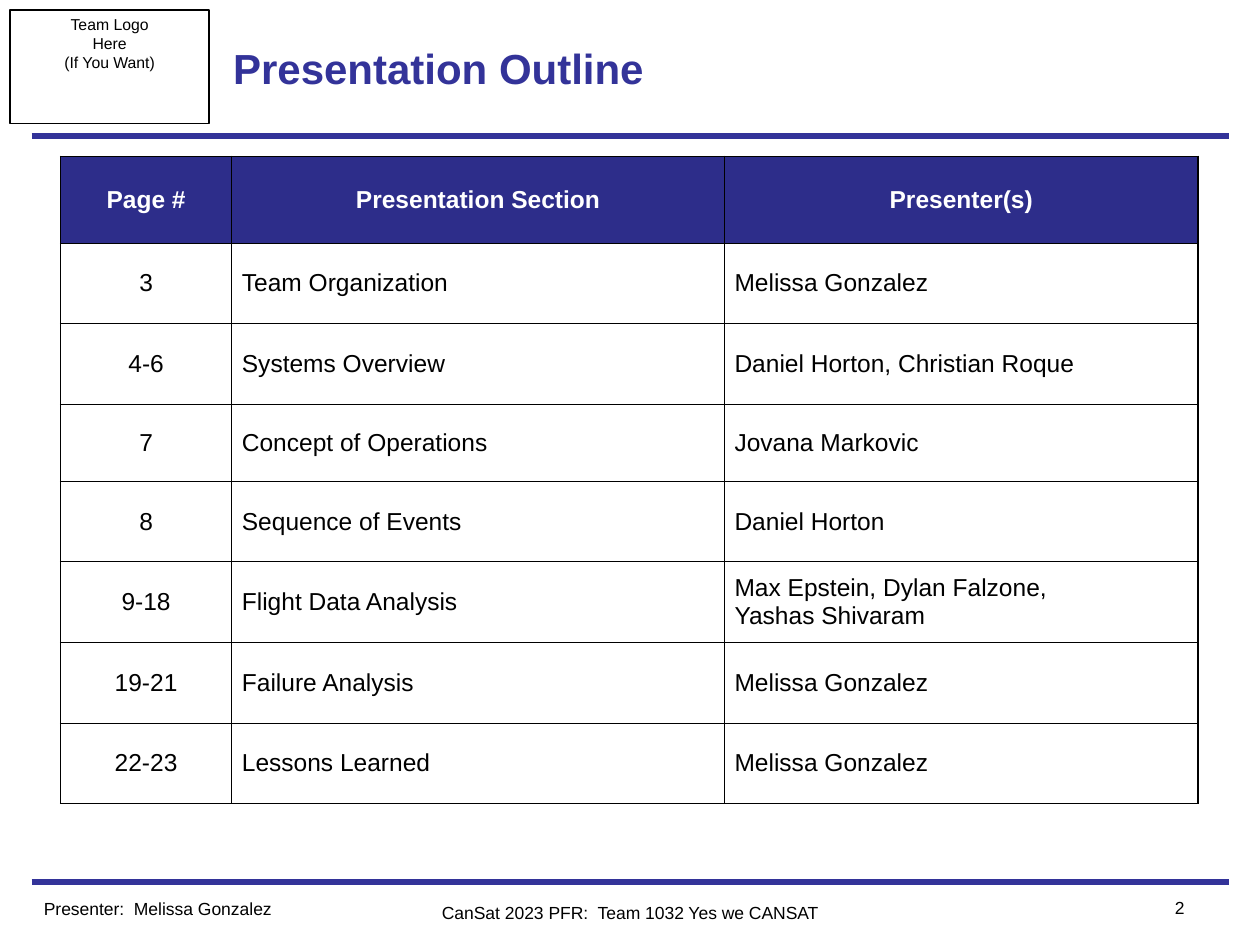
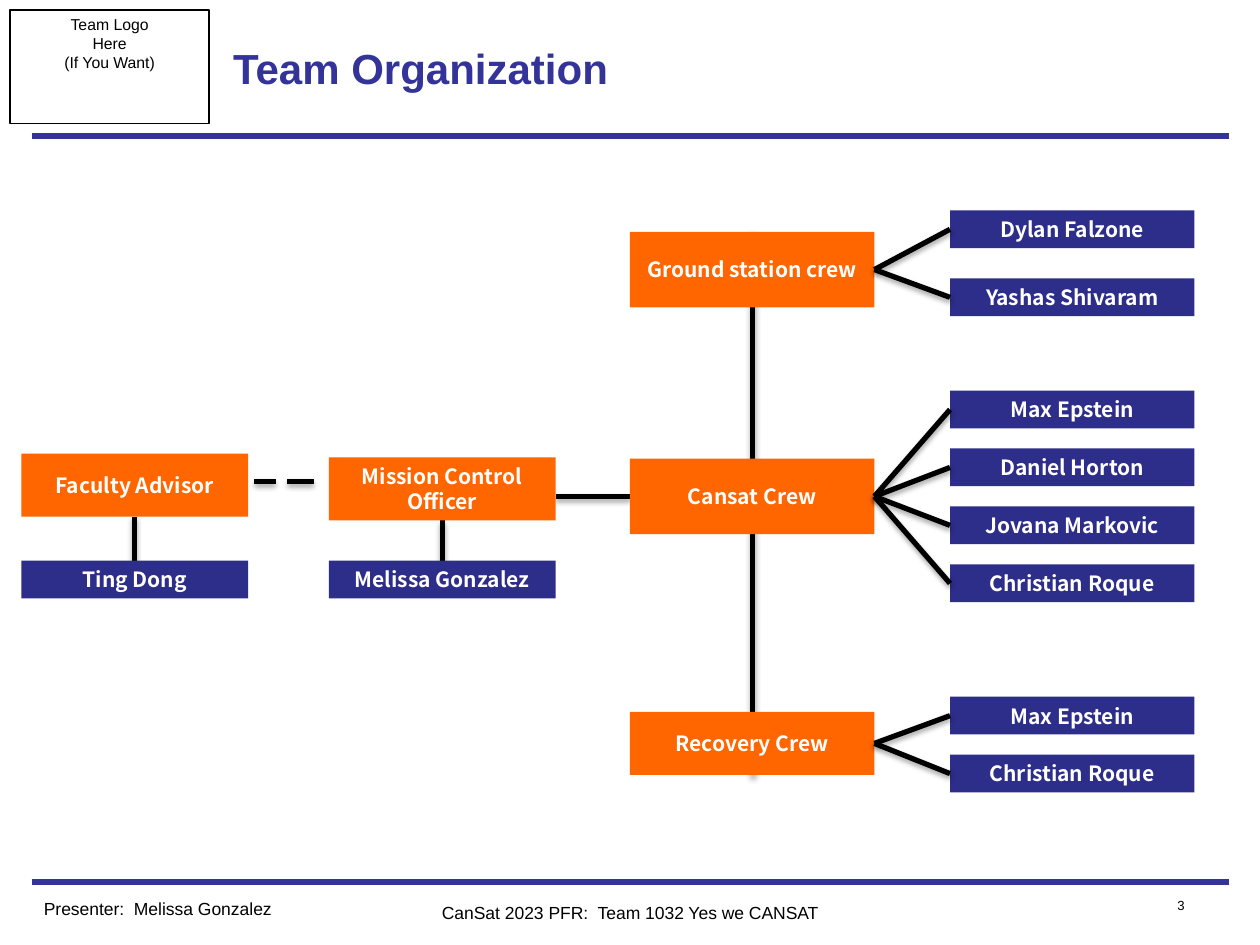
from lxml.etree import SubElement
from pptx import Presentation
from pptx.dml.color import RGBColor
from pptx.enum.shapes import MSO_CONNECTOR, MSO_SHAPE
from pptx.enum.text import MSO_ANCHOR, PP_ALIGN
from pptx.oxml.ns import qn
from pptx.util import Inches, Pt

COLORS = {
    "title": "333399",
    "navy": "2D2D8A",
    "orange": "FF6600",
    "black": "000000",
    "white": "FFFFFF",
}
TEXT_FONT = "Arial"
CHART_FONT = "Noto Sans CJK JP"
WIDE_INSETS = (0.1, 0.05)
NARROW_INSETS = (0.07, 0.04)

# Organization chart columns as (left, width)
ADVISOR, OFFICER, CREW, MEMBER = (0.17, 1.8), (2.61, 1.8), (5, 1.94), (7.54, 1.94)
NAME_HEIGHT = 0.3
ROLE_HEIGHT = 0.5
LEADER_NAME_TOP = 4.45
# Crew name, top, height, first member top, member step, members
CREWS = [
    ("Ground station crew", 1.84, 0.6, 1.67, 0.54,
     ["Dylan Falzone", "Yashas Shivaram"]),
    ("Cansat Crew", 3.64, 0.6, 3.1, 0.46,
     ["Max Epstein", "Daniel Horton", "Jovana Markovic", "Christian Roque"]),
    ("Recovery Crew", 5.65, 0.5, 5.53, 0.46,
     ["Max Epstein", "Christian Roque"]),
]
OUTLINE = [
    ("Page #", "Presentation Section", "Presenter(s)"),
    ("3", "Team Organization", "Melissa Gonzalez"),
    ("4-6", "Systems Overview", "Daniel Horton, Christian Roque"),
    ("7", "Concept of Operations", "Jovana Markovic"),
    ("8", "Sequence of Events", "Daniel Horton"),
    ("9-18", "Flight Data Analysis", "Max Epstein, Dylan Falzone,\nYashas Shivaram"),
    ("19-21", "Failure Analysis", "Melissa Gonzalez"),
    ("22-23", "Lessons Learned", "Melissa Gonzalez"),
]
OUTLINE_WIDTHS = [1.36, 3.91, 3.76]
OUTLINE_HEIGHTS = [0.69, 0.64, 0.64, 0.61, 0.64, 0.64, 0.64, 0.64]


def rgb(name):
    return RGBColor.from_string(COLORS[name])


def write(frame, text, size, color="black", bold=False, align=PP_ALIGN.LEFT,
          font=TEXT_FONT, line_spacing=None):
    """Fill a text frame, one paragraph per line, in a single style."""
    frame.text = text
    for paragraph in frame.paragraphs:
        paragraph.alignment = align
        if line_spacing:
            paragraph.line_spacing = Pt(line_spacing)
        paragraph.font.name = font
        paragraph.font.size = Pt(size)
        paragraph.font.bold = bold
        paragraph.font.color.rgb = rgb(color)


def set_insets(frame, insets):
    frame.margin_left = frame.margin_right = Inches(insets[0])
    frame.margin_top = frame.margin_bottom = Inches(insets[1])


def add_label(slide, box, text, size, align=PP_ALIGN.LEFT, insets=WIDE_INSETS):
    label = slide.shapes.add_textbox(*map(Inches, box))
    label.text_frame.word_wrap = True
    set_insets(label.text_frame, insets)
    write(label.text_frame, text, size, align=align)
    return label


def add_line(slide, start, end, color="black", shadow=True):
    line = slide.shapes.add_connector(
        MSO_CONNECTOR.STRAIGHT, *map(Inches, (*start, *end)))
    line.line.color.rgb = rgb(color)
    line.line.width = Pt(3)
    effects = SubElement(line._element.spPr, qn("a:effectLst"))
    if shadow:
        outer = SubElement(effects, qn("a:outerShdw"), blurRad=str(Pt(3.1)),
                           dist=str(Pt(1.8)), dir="5400000", rotWithShape="0")
        shade = SubElement(outer, qn("a:srgbClr"), val=COLORS["black"])
        SubElement(shade, qn("a:alpha"), val="35000")


def add_titled_slide(presentation, title, number, number_size):
    """Add a slide with the shared title, rules, logo box and footer."""
    slide = presentation.slides.add_slide(presentation.slide_layouts[5])
    for rule_top in (1.08, 7):
        add_line(slide, (0.25, rule_top), (9.75, rule_top), "title", shadow=False)

    logo_box = add_label(slide, (0.08, 0.08, 1.58, 0.9),
                         "Team Logo\nHere\n(If You Want)", 9,
                         PP_ALIGN.CENTER, NARROW_INSETS)
    logo_box.line.color.rgb = rgb("black")
    logo_box.line.width = Pt(0.75)

    heading = slide.shapes.title
    heading.left, heading.top = Inches(1.75), Inches(0.08)
    heading.width, heading.height = Inches(5.92), Inches(0.92)
    heading.text_frame.vertical_anchor = MSO_ANCHOR.MIDDLE
    set_insets(heading.text_frame, WIDE_INSETS)
    write(heading.text_frame, title, 24, "title", bold=True)

    add_label(slide, (0.25, 7.08, 2.5, 0.27), "Presenter:  Melissa Gonzalez", 10)
    add_label(slide, (3.14, 7.12, 3.72, 0.2),
              "CanSat 2023 PFR:  Team 1032 Yes we CANSAT", 10,
              PP_ALIGN.CENTER, NARROW_INSETS)
    add_label(slide, (8.75, 7.07, 0.75, 0.27), str(number), number_size,
              PP_ALIGN.RIGHT)
    return slide


def set_borders(cell, widths):
    """Draw black borders; widths maps the sides L, R, T, B to points."""
    properties = cell._tc.get_or_add_tcPr()
    for side in "LRTB":
        border = SubElement(properties, qn(f"a:ln{side}"), w=str(Pt(widths[side])))
        fill = SubElement(border, qn("a:solidFill"))
        SubElement(fill, qn("a:srgbClr"), val=COLORS["black"])


def add_outline_table(slide):
    row_count, column_count = len(OUTLINE), len(OUTLINE_WIDTHS)
    table = slide.shapes.add_table(
        row_count, column_count, Inches(0.48), Inches(1.24),
        Inches(sum(OUTLINE_WIDTHS)), Inches(sum(OUTLINE_HEIGHTS))).table
    table.horz_banding = False
    for column, width in zip(table.columns, OUTLINE_WIDTHS):
        column.width = Inches(width)
    for row, height in zip(table.rows, OUTLINE_HEIGHTS):
        row.height = Inches(height)

    thin, thick = 0.6, 0.92
    for row, texts in enumerate(OUTLINE):
        for column, text in enumerate(texts):
            cell = table.cell(row, column)
            header = row == 0
            set_borders(cell, {
                "L": thick if column == 0 else thin,
                "R": thick if column == column_count - 1 else thin,
                "T": thick if header else thin,
                "B": thin,
            })
            if header:
                cell.fill.solid()
                cell.fill.fore_color.rgb = rgb("navy")
            else:
                cell.fill.background()
            cell.vertical_anchor = MSO_ANCHOR.MIDDLE
            set_insets(cell, (0.08, 0.04))
            centered = header or column == 0
            write(cell.text_frame, text, 14, "white" if header else "black", header,
                  PP_ALIGN.CENTER if centered else PP_ALIGN.LEFT)


def add_chart_box(slide, column, top, height, text, color):
    left, width = column
    box = slide.shapes.add_shape(
        MSO_SHAPE.RECTANGLE, *map(Inches, (left, top, width, height)))
    box.shadow.inherit = False
    box.fill.solid()
    box.fill.fore_color.rgb = rgb(color)
    box.line.fill.background()
    frame = box.text_frame
    frame.word_wrap = True
    frame.vertical_anchor = MSO_ANCHOR.MIDDLE
    set_insets(frame, WIDE_INSETS)
    write(frame, text, 12, "white", True, PP_ALIGN.CENTER, CHART_FONT, 14.4)


def center(column):
    return column[0] + column[1] / 2


def right(column):
    return column[0] + column[1]


def add_leader(slide, column, top, role, name):
    middle = center(column)
    add_line(slide, (middle, top + ROLE_HEIGHT), (middle, LEADER_NAME_TOP))
    add_chart_box(slide, column, top, ROLE_HEIGHT, role, "orange")
    add_chart_box(slide, column, LEADER_NAME_TOP, NAME_HEIGHT, name, "navy")


def add_crew(slide, name, top, height, first_top, step, members):
    add_chart_box(slide, CREW, top, height, name, "orange")
    for index, member in enumerate(members):
        member_top = first_top + index * step
        add_chart_box(slide, MEMBER, member_top, NAME_HEIGHT, member, "navy")
        add_line(slide, (right(CREW), top + height / 2),
                 (MEMBER[0], member_top + NAME_HEIGHT / 2))


def add_organization_chart(slide):
    add_line(slide, (center(CREW), 1.84), (center(CREW), 6.15))
    add_line(slide, (right(OFFICER), 3.94), (CREW[0], 3.94))
    for dash_start, dash_end in ((2.02, 2.19), (2.28, 2.49)):
        add_line(slide, (dash_start, 3.82), (dash_end, 3.82))
    add_leader(slide, ADVISOR, 3.6, "Faculty Advisor", "Ting Dong")
    add_leader(slide, OFFICER, 3.63, "Mission Control Officer", "Melissa Gonzalez")
    for crew in CREWS:
        add_crew(slide, *crew)


def main():
    presentation = Presentation()
    presentation.slide_width, presentation.slide_height = Inches(10), Inches(7.5)
    add_outline_table(add_titled_slide(presentation, "Presentation Outline", 2, 10))
    add_organization_chart(add_titled_slide(presentation, "Team Organization", 3, 7.5))
    presentation.save("out.pptx")


if __name__ == "__main__":
    main()
